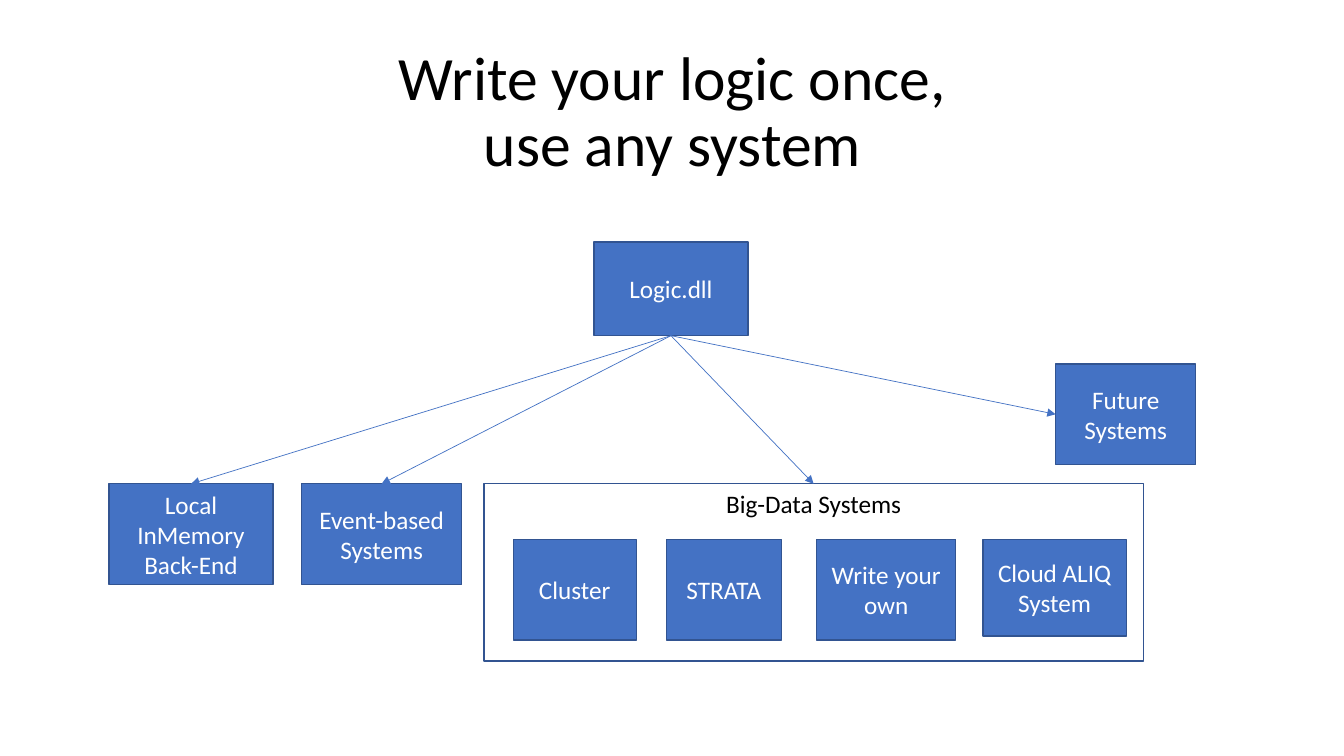
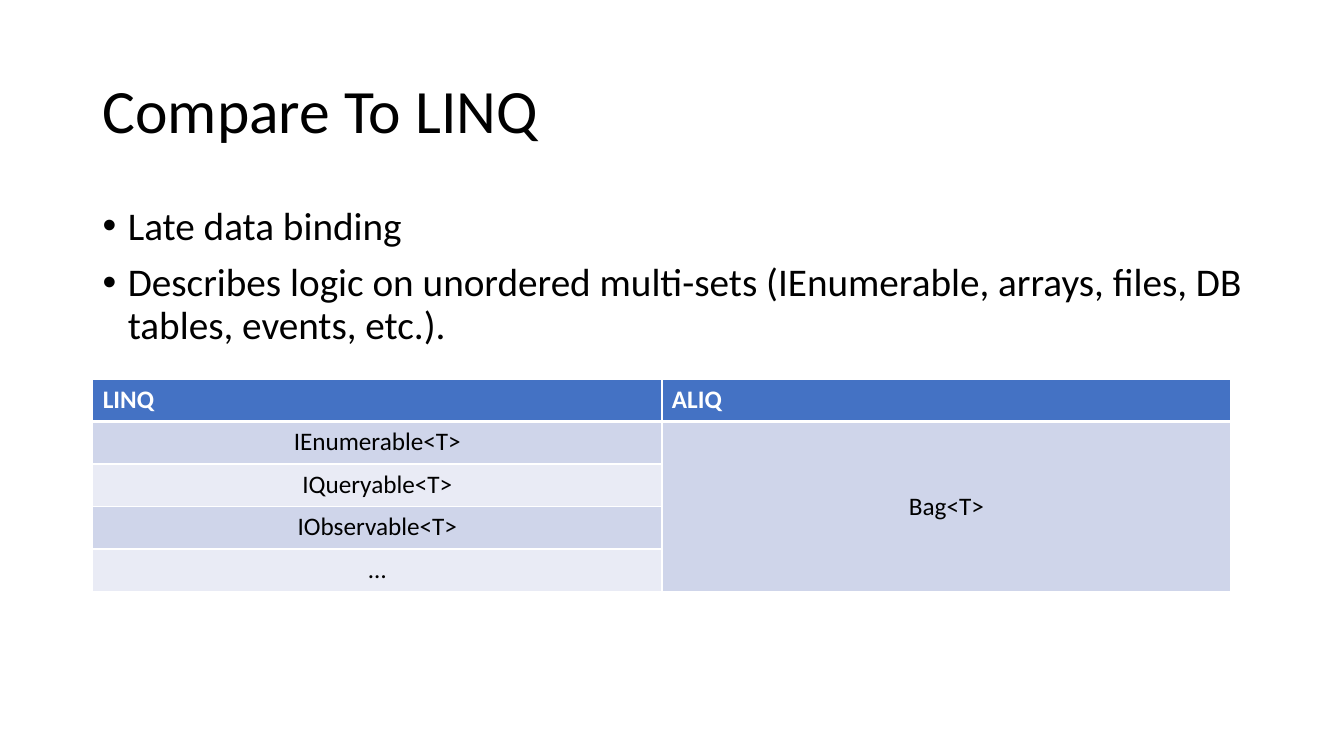
from dataclasses import dataclass
from lxml import etree
from pptx import Presentation
from pptx.dml.color import RGBColor
from pptx.enum.shapes import MSO_CONNECTOR, MSO_SHAPE
from pptx.enum.text import MSO_ANCHOR, PP_ALIGN
from pptx.oxml.ns import qn
from pptx.shapes.autoshape import Shape
from pptx.slide import Slide
from pptx.table import _Cell
from pptx.text.text import TextFrame
from pptx.util import Inches, Pt

LEFT, CENTER = PP_ALIGN.LEFT, PP_ALIGN.CENTER
TOP, MIDDLE = MSO_ANCHOR.TOP, MSO_ANCHOR.MIDDLE
RECTANGLE, PROCESS = MSO_SHAPE.RECTANGLE, MSO_SHAPE.FLOWCHART_PROCESS
STRAIGHT = MSO_CONNECTOR.STRAIGHT
TOP_SITE, LEFT_SITE, BOTTOM_SITE = 0, 1, 2


@dataclass(frozen=True)
class Theme:
    font: str = "Calibri"
    accent: str = "4472C4"
    outline: str = "325491"
    dark: str = "000000"
    light: str = "FFFFFF"
    bands: tuple[str, str] = ("CFD5EA", "E9EBF5")
    title_size: int = 44
    body_size: int = 28
    label_size: int = 18
    outline_width: float = 1
    arrow_width: float = 0.5
    header_rule: float = 3
    line_spacing: float = 0.9


@dataclass(frozen=True)
class System:
    label: str
    left: float
    top: float
    width: float
    height: float = 1
    preset: MSO_SHAPE = RECTANGLE
    filled: bool = True


THEME = Theme()
MARGIN, CONTENT_WIDTH = 0.92, 11.5
BACKEND_TOP, BIG_DATA_TOP = 4.8, 5.35

LOGIC = System("Logic.dll", 5.89, 2.4, 1.53, 0.93)
TARGETS = [
    (System("Local InMemory Back-End", 1.08, BACKEND_TOP, 1.63), TOP_SITE),
    (System("Event-based Systems", 2.99, BACKEND_TOP, 1.59), TOP_SITE),
    (System("Big-Data Systems", 4.8, BACKEND_TOP, 6.54, 1.76, filled=False), TOP_SITE),
    (System("Future Systems", 10.47, 3.61, 1.39), LEFT_SITE),
]
BIG_DATA = [
    System("Cluster", 5.09, BIG_DATA_TOP, 1.22),
    System("STRATA", 6.61, BIG_DATA_TOP, 1.14),
    System("Write your own", 8.1, BIG_DATA_TOP, 1.38),
    System("Cloud ALIQ System", 9.75, BIG_DATA_TOP, 1.42, 0.96, PROCESS),
]
BULLETS = [
    "Late data binding",
    "Describes logic on unordered multi-sets "
    "(IEnumerable, arrays, files, DB tables, events, etc.).",
]
HEADERS = ["LINQ", "ALIQ"]
LINQ_TYPES = ["IEnumerable<T>", "IQueryable<T>", "IObservable<T>", "…"]


def rgb(color: str) -> RGBColor:
    return RGBColor.from_string(color)


def style_text(frame: TextFrame, size: float, color: str,
               align: PP_ALIGN = LEFT, bold: bool = False) -> None:
    for paragraph in frame.paragraphs:
        paragraph.alignment = align
        for run in paragraph.runs:
            run.font.name = THEME.font
            run.font.size = Pt(size)
            run.font.bold = bold
            run.font.color.rgb = rgb(color)


def add_text(slide: Slide, text: str, top: float, height: float, size: float,
             align: PP_ALIGN = LEFT, anchor: MSO_ANCHOR = TOP) -> TextFrame:
    frame = slide.shapes.add_textbox(
        Inches(MARGIN), Inches(top), Inches(CONTENT_WIDTH), Inches(height)).text_frame
    frame.word_wrap = True
    frame.vertical_anchor = anchor
    frame.text = text
    style_text(frame, size, THEME.dark, align)
    for paragraph in frame.paragraphs:
        paragraph.line_spacing = THEME.line_spacing
    return frame


def add_title(slide: Slide, text: str, align: PP_ALIGN = LEFT) -> None:
    add_text(slide, text, 0.4, 1.45, THEME.title_size, align, MIDDLE)


def add_bullets(slide: Slide, items: list[str]) -> None:
    frame = add_text(slide, "\n".join(items), 2, 4.76, THEME.body_size)
    for paragraph in frame.paragraphs:
        paragraph.space_before = Pt(10)
        properties = paragraph._p.get_or_add_pPr()
        properties.set("marL", str(Inches(0.25)))
        properties.set("indent", str(-Inches(0.25)))
        etree.SubElement(properties, qn("a:buFont"), typeface="Arial")
        etree.SubElement(properties, qn("a:buChar"), char="•")


def add_system(slide: Slide, system: System) -> Shape:
    box = slide.shapes.add_shape(
        system.preset, Inches(system.left), Inches(system.top),
        Inches(system.width), Inches(system.height))
    box.shadow.inherit = False
    box.line.color.rgb = rgb(THEME.outline)
    box.line.width = Pt(THEME.outline_width)
    if system.filled:
        box.fill.solid()
        box.fill.fore_color.rgb = rgb(THEME.accent)
    else:
        box.fill.background()
    frame = box.text_frame
    frame.word_wrap = True
    frame.vertical_anchor = MIDDLE if system.filled else TOP
    frame.text = system.label
    style_text(frame, THEME.label_size, THEME.light if system.filled else THEME.dark, CENTER)
    return box


def add_arrow(slide: Slide, source: Shape, target: Shape, site: int) -> None:
    arrow = slide.shapes.add_connector(STRAIGHT, 0, 0, 0, 0)
    arrow.begin_connect(source, BOTTOM_SITE)
    arrow.end_connect(target, site)
    arrow.line.color.rgb = rgb(THEME.accent)
    arrow.line.width = Pt(THEME.arrow_width)
    etree.SubElement(arrow.line._get_or_add_ln(), qn("a:tailEnd"), type="triangle")
    etree.SubElement(arrow._element.spPr, qn("a:effectLst"))


def style_cell(cell: _Cell, fill: str, header: bool) -> None:
    properties = cell._tc.get_or_add_tcPr()
    for side in ("lnL", "lnR", "lnT", "lnB"):
        width = THEME.header_rule if header and side == "lnB" else THEME.outline_width
        border = etree.SubElement(properties, qn(f"a:{side}"), w=str(Pt(width)))
        solid = etree.SubElement(border, qn("a:solidFill"))
        etree.SubElement(solid, qn("a:srgbClr"), val=THEME.light)
    cell.fill.solid()
    cell.fill.fore_color.rgb = rgb(fill)
    style_text(cell.text_frame, THEME.label_size, THEME.light if header else THEME.dark,
               LEFT if header else CENTER, header)


def add_comparison(slide: Slide) -> None:
    row_count = len(LINQ_TYPES) + 1
    table = slide.shapes.add_table(
        row_count, len(HEADERS), Inches(MARGIN), Inches(3.76),
        Inches(11.29), Inches(2.11)).table
    for column, header in enumerate(HEADERS):
        table.cell(0, column).text_frame.text = header
    for row, linq_type in enumerate(LINQ_TYPES, 1):
        table.cell(row, 0).text_frame.text = linq_type
    bag = table.cell(1, 1)
    bag.merge(table.cell(row_count - 1, 1))
    bag.text_frame.text = "Bag<T>"
    bag.vertical_anchor = MIDDLE
    for row in range(row_count):
        for column in range(len(HEADERS)):
            band = THEME.bands[0 if column else (row - 1) % 2]
            style_cell(table.cell(row, column), band if row else THEME.accent, row == 0)


def build_logic_slide(slide: Slide) -> None:
    add_title(slide, "Write your logic once,\vuse any system", CENTER)
    logic = add_system(slide, LOGIC)
    for system, site in TARGETS:
        add_arrow(slide, logic, add_system(slide, system), site)
    for system in BIG_DATA:
        add_system(slide, system)


def build_linq_slide(slide: Slide) -> None:
    add_title(slide, "Compare To LINQ")
    add_bullets(slide, BULLETS)
    add_comparison(slide)


def main() -> None:
    deck = Presentation()
    deck.slide_width, deck.slide_height = Inches(13.33), Inches(7.5)
    blank = deck.slide_layouts[6]
    for build in (build_logic_slide, build_linq_slide):
        build(deck.slides.add_slide(blank))
    deck.save("out.pptx")


main()
